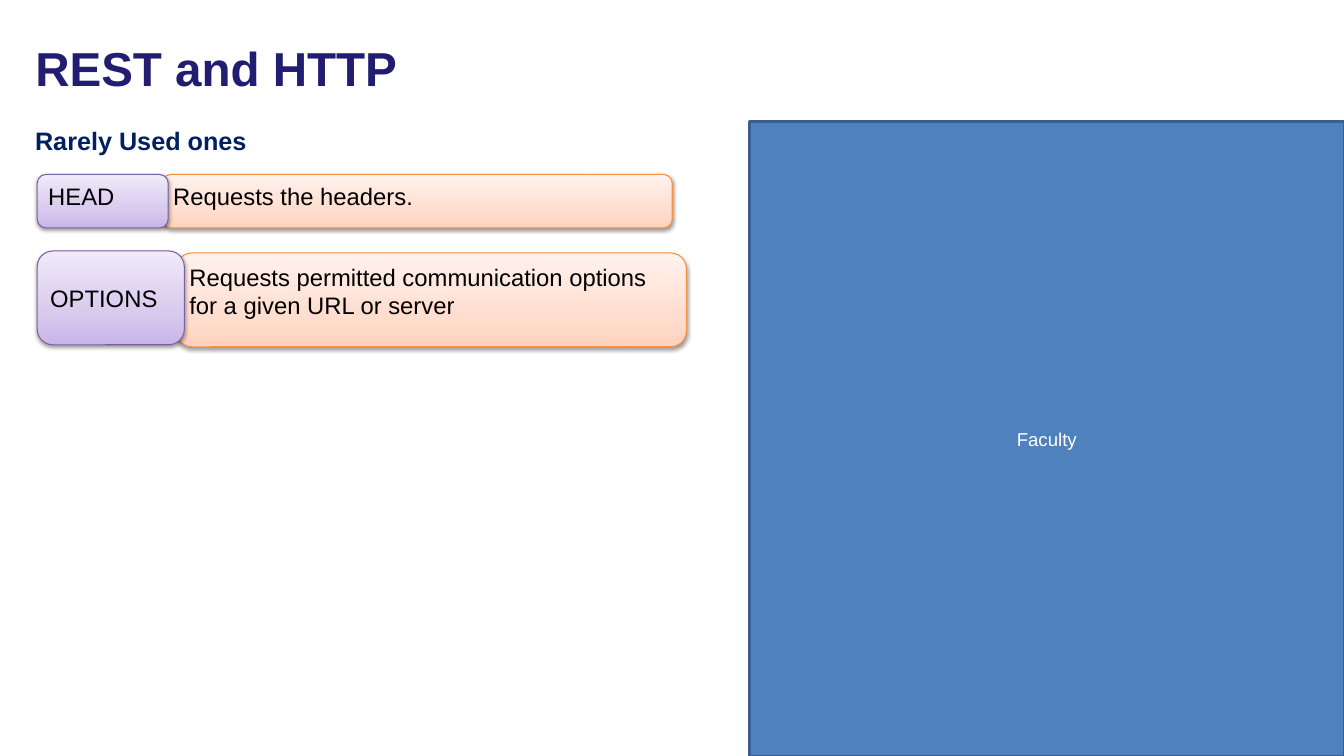
from dataclasses import dataclass

from lxml.etree import SubElement
from pptx import Presentation
from pptx.dml.color import RGBColor
from pptx.enum.shapes import MSO_SHAPE as SHAPE
from pptx.enum.text import MSO_ANCHOR as ANCHOR, PP_ALIGN as ALIGN
from pptx.oxml.ns import qn
from pptx.shapes.autoshape import Shape
from pptx.slide import Slide
from pptx.text.text import TextFrame
from pptx.util import Pt

WHITE = RGBColor(0xFF, 0xFF, 0xFF)
BLACK = RGBColor(0, 0, 0)
INDIGO = RGBColor(0x21, 0x1D, 0x70)
NAVY = RGBColor(0x00, 0x20, 0x60)
BLUE = RGBColor(0x4F, 0x81, 0xBD)
DARK_BLUE = RGBColor(0x3A, 0x5F, 0x8C)
ORANGE = RGBColor(0xF6, 0x92, 0x40)
PURPLE = RGBColor(0x7D, 0x60, 0xA0)
PEACHES = (RGBColor(0xFF, 0xD2, 0xBD), RGBColor(0xFF, 0xDE, 0xD0), RGBColor(0xFF, 0xF2, 0xED))
LILACS = (RGBColor(0xC9, 0xB5, 0xE8), RGBColor(0xD8, 0xCB, 0xEE), RGBColor(0xF0, 0xEA, 0xF9))
STOPS = (0, 35, 100)


@dataclass(frozen=True)
class Card:
    text: str
    left: float
    top: float
    width: float
    height: float
    line: RGBColor
    shades: tuple[RGBColor, ...]
    anchor: ANCHOR = ANCHOR.TOP


CARDS = (
    Card("Requests the headers.", 115.9, 124.6, 364.3, 38.2, ORANGE, PEACHES),
    Card("Requests permitted communication options for a given URL or server",
         126, 180.7, 364.3, 67, ORANGE, PEACHES),
    Card("HEAD", 26.6, 124.6, 93.6, 38.2, PURPLE, LILACS),
    Card("OPTIONS", 26.6, 179.3, 105.1, 67, PURPLE, LILACS, ANCHOR.MIDDLE),
)


def write(tf: TextFrame, text: str, *, size: float, color: RGBColor, bold: bool = False,
          align: ALIGN = ALIGN.LEFT, anchor: ANCHOR = ANCHOR.TOP,
          inset: float = 7.2, spacing: float = 1.0) -> None:
    tf.word_wrap = True
    tf.vertical_anchor = anchor
    tf.margin_left = tf.margin_right = Pt(inset)
    tf.margin_top = tf.margin_bottom = Pt(3.6)
    p = tf.paragraphs[0]
    p.alignment, p.line_spacing = align, spacing
    r = p.add_run()
    r.text = text
    r.font.name, r.font.size, r.font.bold = "Arial", Pt(size), bold
    r.font.color.rgb = color


def shade(sp: Shape, colors: tuple[RGBColor, ...]) -> None:
    """Fill the shape with a gradient that rises from its bottom edge."""
    sp.fill.gradient()
    sp.fill.gradient_angle = 90
    stops = sp._element.spPr.find(qn("a:gradFill")).find(qn("a:gsLst"))
    stops.clear()
    for pos, color in zip(STOPS, colors):
        gs = SubElement(stops, qn("a:gs"), pos=str(pos * 1000))
        SubElement(gs, qn("a:srgbClr"), val=str(color))


def drop_shadow(sp: Shape) -> None:
    sp.shadow.inherit = False
    effects = sp._element.spPr.find(qn("a:effectLst"))
    shadow = SubElement(effects, qn("a:outerShdw"), blurRad=str(Pt(3.1)), dist=str(Pt(1.6)),
                        dir="5400000", rotWithShape="0")
    color = SubElement(shadow, qn("a:srgbClr"), val=str(BLACK))
    SubElement(color, qn("a:alpha"), val="38000")


def add_card(s: Slide, card: Card) -> None:
    sp = s.shapes.add_shape(SHAPE.ROUNDED_RECTANGLE, Pt(card.left), Pt(card.top),
                            Pt(card.width), Pt(card.height))
    shade(sp, card.shades)
    sp.line.color.rgb = card.line
    sp.line.width = Pt(0.75)
    drop_shadow(sp)
    write(sp.text_frame, card.text, size=17, color=BLACK, anchor=card.anchor, inset=6)


def add_faculty_panel(s: Slide) -> None:
    sp = s.shapes.add_shape(SHAPE.RECTANGLE, Pt(535.5), Pt(87), Pt(424.5), Pt(453))
    sp.shadow.inherit = False
    sp.fill.solid()
    sp.fill.fore_color.rgb = BLUE
    sp.line.color.rgb = DARK_BLUE
    sp.line.width = Pt(2)
    write(sp.text_frame, "Faculty", size=13.3, color=WHITE, align=ALIGN.CENTER,
          anchor=ANCHOR.MIDDLE)


def main() -> None:
    prs = Presentation()
    prs.slide_width, prs.slide_height = Pt(960), Pt(540)
    s = prs.slides.add_slide(prs.slide_layouts[5])
    add_faculty_panel(s)

    title = s.shapes.title
    title.left, title.top, title.width, title.height = Pt(18), Pt(18), Pt(850.3), Pt(65.5)
    write(title.text_frame, "REST and HTTP", size=34, color=INDIGO, bold=True,
          anchor=ANCHOR.MIDDLE, spacing=0.9)

    heading = s.shapes.add_textbox(Pt(18), Pt(86), Pt(462), Pt(418))
    write(heading.text_frame, "Rarely Used ones", size=18, color=NAVY, bold=True)

    for card in CARDS:
        add_card(s, card)
    prs.save("out.pptx")


if __name__ == "__main__":
    main()
